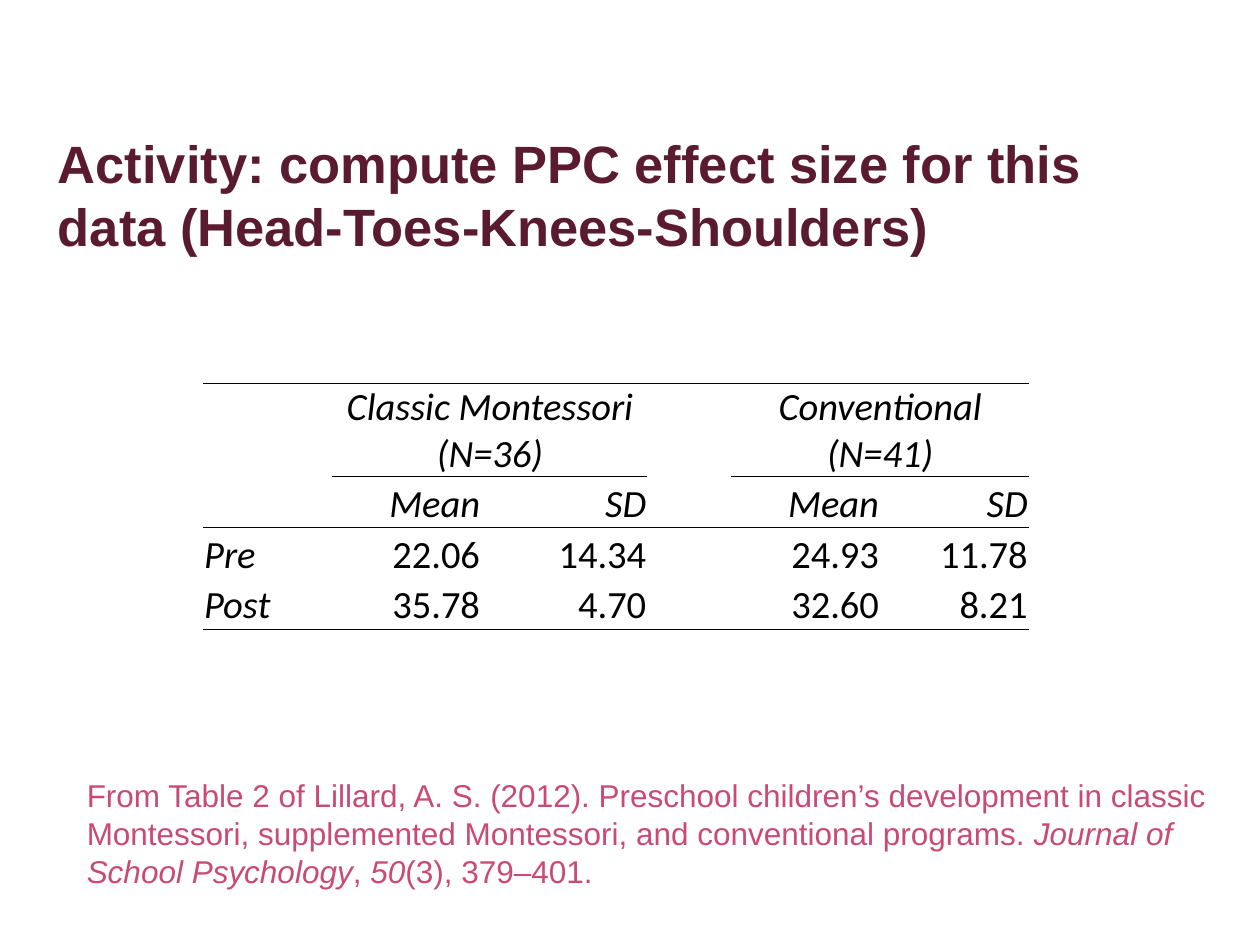
from dataclasses import dataclass

from lxml import etree
from pptx import Presentation
from pptx.dml.color import RGBColor
from pptx.enum import text
from pptx.oxml import ns
from pptx.util import Pt

COLOURS = {"title": "5A1B31", "source": "C94A76", "table": "000000"}
PLAIN_STYLE = "{2D5ABB26-0587-4C30-8999-92F81FD0307C}"
COLUMN_WIDTHS = (74, 85, 95, 48, 85, 85)
ROW_HEIGHTS = (51, 29, 29, 29)
GROUP_COLUMNS = (1, 2, 4, 5)
ROWS = (
    ("", "Classic Montessori\v(N=36)", "", "", "Conventional\v(N=41)", ""),
    ("", "Mean", "SD", "", "Mean", "SD"),
    ("Pre", "22.06", "14.34", "", "24.93", "11.78"),
    ("Post", "35.78", "4.70", "", "32.60", "8.21"),
)


@dataclass
class Span:
    words: str
    italic: bool = False


@dataclass
class Passage:
    left: float
    top: float
    width: float
    height: float
    size: float
    colour: str
    spans: tuple[Span, ...]
    bold: bool = False


PASSAGES = (
    Passage(26, 71.5, 668, 102, 30, "title", (
        Span("Activity: compute PPC effect size for this data (Head-Toes-Knees-Shoulders)"),
    ), bold=True),
    Passage(42.5, 440, 669, 73, 18, "source", (
        Span("From Table 2 of Lillard, A. S. (2012). Preschool children’s development in "
             "classic Montessori, supplemented Montessori, and conventional programs. "),
        Span("Journal of School Psychology", italic=True),
        Span(", "),
        Span("50", italic=True),
        Span("(3), 379–401."),
    )),
)


def apply_format(target: object, values: dict) -> None:
    """Set every named attribute on the target."""
    for name, value in values.items():
        setattr(target, name, value)


def format_font(font: object, colour: str, values: dict) -> None:
    """Give a font its colour and format values."""
    apply_format(font, values)
    font.color.rgb = RGBColor.from_string(COLOURS[colour])


def draw_passage(page: object, passage: Passage) -> None:
    """Draw a wrapped text box with fixed line pitch."""
    box = page.shapes.add_textbox(*map(Pt, (passage.left, passage.top, passage.width, passage.height)))
    box.text_frame.word_wrap = True
    para = box.text_frame.paragraphs[0]
    para.line_spacing = Pt(passage.size * 1.2)
    for part in passage.spans:
        span = para.add_run()
        span.text = part.words
        format_font(span.font, passage.colour, {
            "name": "Arial", "size": Pt(passage.size), "bold": passage.bold, "italic": part.italic})


def set_border(cell: object, side: str, visible: bool) -> None:
    """Add one rule to a cell edge, or clear the edge."""
    properties = cell._tc.get_or_add_tcPr()
    line = etree.Element(ns.qn(f"a:ln{side}"), w=str(Pt(0.5)))
    fill = etree.SubElement(line, ns.qn("a:solidFill" if visible else "a:noFill"))
    if visible:
        etree.SubElement(fill, ns.qn("a:srgbClr"), val=COLOURS["table"])
    properties.insert(0, line)


def fill_cell(cell: object, words: str, row: int, column: int) -> None:
    """Write and format one table cell with its rules."""
    apply_format(cell, {
        "margin_left": Pt(0.7), "margin_right": Pt(0.7), "margin_top": Pt(0.7),
        "margin_bottom": Pt(0), "vertical_anchor": text.MSO_ANCHOR.BOTTOM})
    cell.fill.background()
    if words:
        para = cell.text_frame.paragraphs[0]
        para.text = words
        if row == 0:
            para.alignment = text.PP_ALIGN.CENTER
        else:
            para.alignment = text.PP_ALIGN.RIGHT if column else text.PP_ALIGN.LEFT
        for span in para.runs:
            format_font(span.font, "table", {
                "name": "Calibri", "size": Pt(22), "italic": row < 2 or column == 0})
    grouped = column in GROUP_COLUMNS
    set_border(cell, "B", row in (1, 3) or row == 0 and grouped)
    set_border(cell, "T", row in (0, 2) or row == 1 and grouped)


def draw_table(page: object) -> None:
    """Draw the table of means and standard deviations."""
    frame = page.shapes.add_table(
        len(ROWS), len(COLUMN_WIDTHS), Pt(116), Pt(219),
        Pt(sum(COLUMN_WIDTHS)), Pt(sum(ROW_HEIGHTS)))
    table = frame.table
    apply_format(table, {"first_row": False, "horz_banding": False})
    table._tbl.tblPr.find(ns.qn("a:tableStyleId")).text = PLAIN_STYLE
    for column, width in zip(table.columns, COLUMN_WIDTHS):
        column.width = Pt(width)
    for row, height in zip(table.rows, ROW_HEIGHTS):
        row.height = Pt(height)
    for start in (1, 4):
        table.cell(0, start).merge(table.cell(0, start + 1))
    for row, values in enumerate(ROWS):
        for column, words in enumerate(values):
            fill_cell(table.cell(row, column), words, row, column)


def main() -> None:
    """Build and save the slide."""
    deck = Presentation()
    apply_format(deck, {"slide_width": Pt(720), "slide_height": Pt(540)})
    page = deck.slides.add_slide(deck.slide_layouts[6])
    for passage in PASSAGES:
        draw_passage(page, passage)
    draw_table(page)
    deck.save("out.pptx")


if __name__ == "__main__":
    main()
